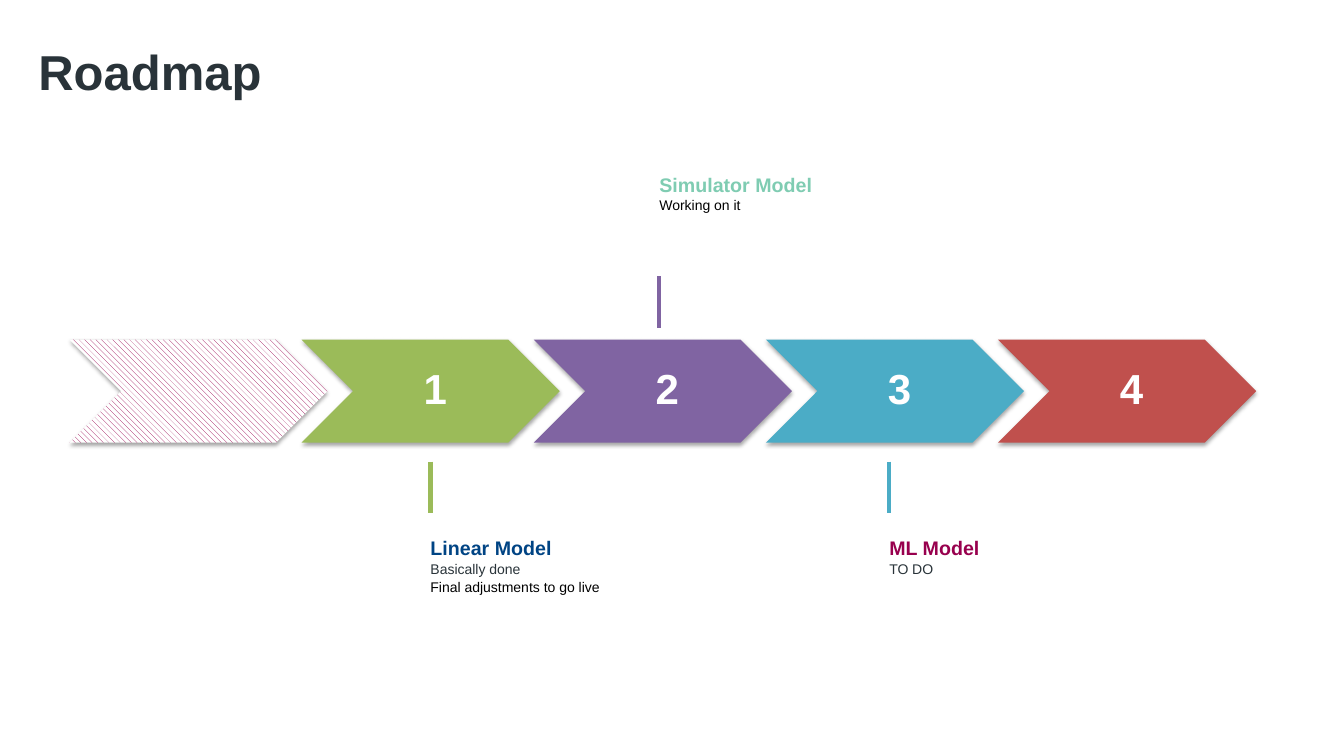
"""Build the Roadmap slide: a row of chevrons with milestone notes."""
from lxml import etree
from pptx import Presentation
from pptx.dml.color import RGBColor
from pptx.enum.dml import MSO_PATTERN
from pptx.enum.shapes import MSO_CONNECTOR, MSO_SHAPE
from pptx.enum.text import MSO_ANCHOR, PP_ALIGN
from pptx.oxml.ns import qn
from pptx.util import Inches, Pt

CHEVRON = MSO_SHAPE.CHEVRON
STRAIGHT = MSO_CONNECTOR.STRAIGHT
STRIPES = MSO_PATTERN.WIDE_DOWNWARD_DIAGONAL
MIDDLE = MSO_ANCHOR.MIDDLE
CENTER = PP_ALIGN.CENTER

COLORS = {
    "white": "FFFFFF", "black": "000000", "ink": "293339",
    "green": "9BBB59", "purple": "8064A2", "teal": "4BACC6", "red": "C0504D",
    "mint": "7FCCB2", "navy": "004484", "berry": "98004E",
}
RGB = {name: RGBColor.from_string(value) for name, value in COLORS.items()}


def add_span(para, text, size, color, bold=False):
    span = para.add_run()
    span.text = text
    span.font.name = "Arial"
    span.font.size = Pt(size)
    span.font.bold = bold
    span.font.color.rgb = RGB[color]


def add_text(page, left, top, width, lines):
    box = page.shapes.add_textbox(Inches(left), Inches(top), Inches(width), Inches(1.14))
    frame = box.text_frame
    frame.word_wrap = True
    frame.margin_left = frame.margin_right = frame.margin_top = frame.margin_bottom = 0
    for index, line in enumerate(lines):
        para = frame.add_paragraph() if index else frame.paragraphs[0]
        para.line_spacing = 1.05
        add_span(para, *line)


deck = Presentation()
deck.slide_width = Inches(13.33)
deck.slide_height = Inches(7.5)
page = deck.slides.add_slide(deck.slide_layouts[6])

add_text(page, 0.38, 0.38, 10.69, [("Roadmap", 35, "ink", True)])

for step, color in enumerate([None, "green", "purple", "teal", "red"]):
    chevron = page.shapes.add_shape(
        CHEVRON, Inches(0.69 + 2.3025 * step), Inches(3.37), Inches(2.56), Inches(1.02))
    chevron.adjustments[0] = 0.5
    chevron.line.fill.background()
    chevron.shadow.inherit = False
    effects = chevron._element.spPr.find(qn("a:effectLst"))
    shadow = etree.SubElement(effects, qn("a:outerShdw"), blurRad=str(Pt(3.1)),
                              dist=str(Pt(1.8)), dir="5400000", rotWithShape="0")
    tint = etree.SubElement(shadow, qn("a:srgbClr"), val=COLORS["black"])
    etree.SubElement(tint, qn("a:alpha"), val="35000")
    if color is None:
        chevron.fill.patterned()
        chevron.fill.pattern = STRIPES
        chevron.fill.fore_color.rgb = RGB["berry"]
        chevron.fill.back_color.rgb = RGB["white"]
        continue
    chevron.fill.solid()
    chevron.fill.fore_color.rgb = RGB[color]
    frame = chevron.text_frame
    frame.vertical_anchor = MIDDLE
    frame.margin_left = Inches(0.13)
    frame.margin_right = frame.margin_top = frame.margin_bottom = Inches(0.04)
    para = frame.paragraphs[0]
    para.alignment = CENTER
    para.line_spacing = 0.9
    para.space_after = Pt(10.5)
    add_span(para, str(step), 30, "white", True)

milestones = [
    (4.27, 4.58, 5.31, "green", [("Linear Model", 14, "navy", True),
                                 ("Basically done", 10, "ink"),
                                 ("Final adjustments to go live", 10, "black")]),
    (6.54, 2.74, 1.7, "purple", [("Simulator Model", 14, "mint", True),
                                 ("Working on it", 10, "black")]),
    (8.82, 4.58, 5.31, "teal", [("ML Model", 14, "berry", True),
                                ("TO DO", 10, "ink")]),
]
for left, tick_top, text_top, color, lines in milestones:
    add_text(page, left, text_top, 1.93, lines)
    tick = page.shapes.add_connector(
        STRAIGHT, Inches(left), Inches(tick_top), Inches(left), Inches(tick_top + 0.51))
    tick.line.color.rgb = RGB[color]
    tick.line.width = Pt(3)
    etree.SubElement(tick._element.spPr, qn("a:effectLst"))

deck.save("out.pptx")
